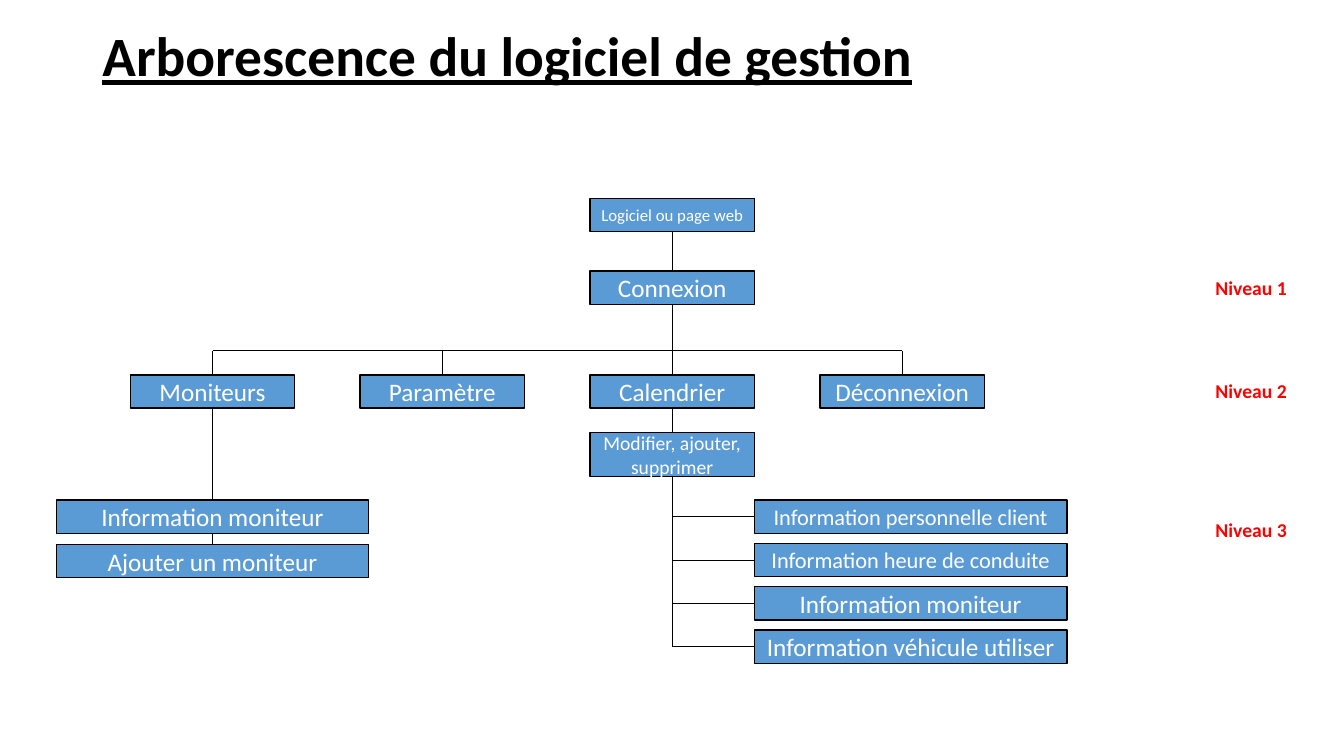
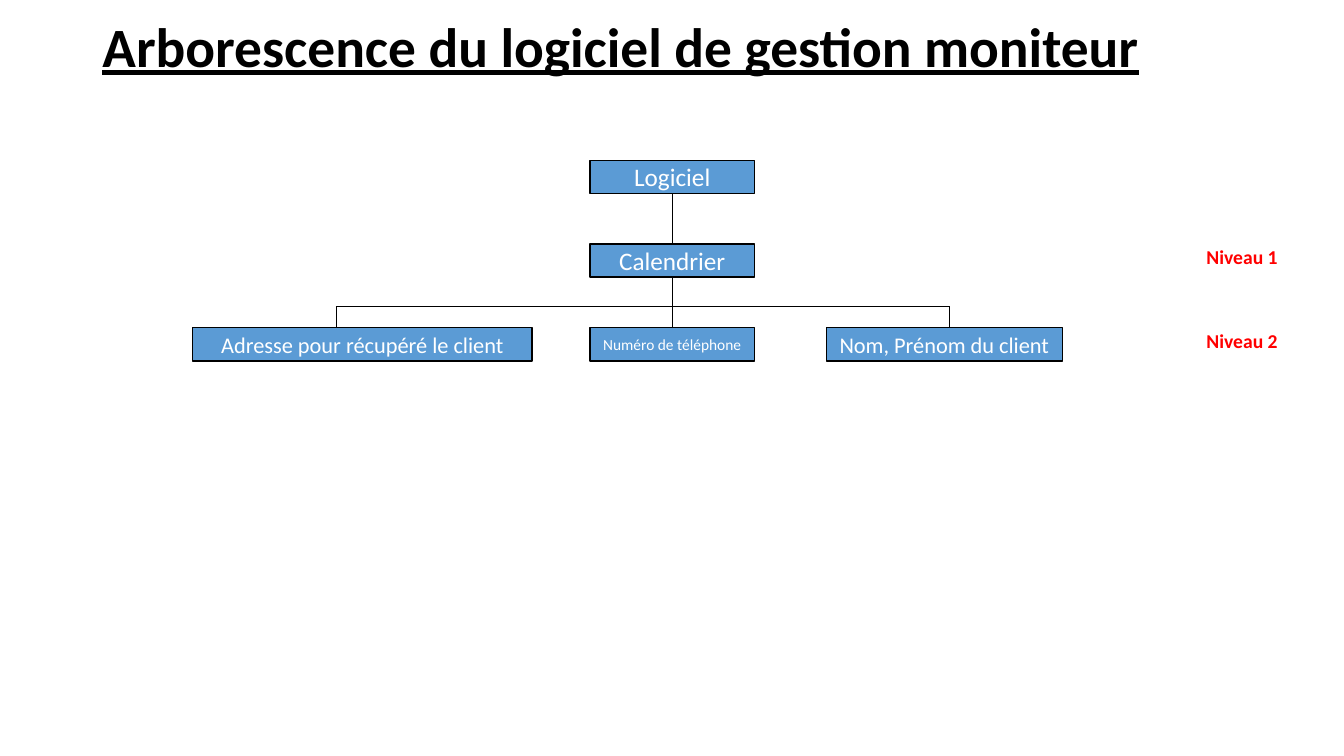
import pptx
import pptx.util
import pptx.dml.color
import pptx.enum.shapes
import pptx.enum.text
import pptx.oxml.ns
import lxml.etree

Pt = pptx.util.Pt
RGB = pptx.dml.color.RGBColor
ENUM = pptx.enum.text

BLUE = RGB(0x5B, 0x9B, 0xD5)
BLACK = RGB(0, 0, 0)
WHITE = RGB(255, 255, 255)
RED = RGB(255, 0, 0)
FONT = "Calibri"

MID = 480.2      # axis of the tree
STEP = 164.2     # between columns
SMALL, WIDE = 117.4, 223.2
HIGH = 23.8      # usual box height

# Text, font size
TITLES = [("Arborescence du logiciel de gestion", 18, 48.2),
          ("Arborescence du logiciel de gestion moniteur", 8.6, 53.3)]
MENU = [("Moniteurs", -2), ("Paramètre", -1), ("Calendrier", 0), ("Déconnexion", 1)]
STAFF = ["Information moniteur", "Ajouter un moniteur"]
INFO = [("Information personnelle client", 16), ("Information heure de conduite", 16),
        ("Information moniteur", 18), ("Information véhicule utiliser", 18)]
# Text, font size, centre, width, x of the link
CLIENT = [("Adresse pour récupéré le client", 16, 258.9, 242.6, 240),
          ("Numéro de téléphone", 11, MID, SMALL, MID),
          ("Nom, Prénom du client", 16, 674.6, 168.5, 678.2)]
# Left, tops
LEVELS = [(861.1, [193.4, 267.1, 366.5]), (854.6, [171.4, 231.1])]


def style(para, size, color, bold=False):
    """Set the font of a paragraph."""
    font = para.font
    font.name, font.size, font.bold = FONT, Pt(size), bold
    font.color.rgb = color


def start(deck, words, top, high):
    """Add a slide with its title."""
    slide = deck.slides.add_slide(deck.slide_layouts[5])
    title = slide.shapes.title
    title.left, title.top, title.width, title.height = Pt(66), Pt(top), Pt(828), Pt(high)
    frame = title.text_frame
    frame.text = words
    frame.vertical_anchor = ENUM.MSO_ANCHOR.MIDDLE
    para = frame.paragraphs[0]
    para.alignment = ENUM.PP_ALIGN.LEFT
    para.line_spacing = 0.9
    style(para, 39.6, BLACK, True)
    para.font.underline = True
    return slide


def box(slide, words, mid, top, size=18, width=SMALL, high=HIGH):
    """Add a box centred on mid and return its bottom."""
    shape = slide.shapes.add_shape(pptx.enum.shapes.MSO_SHAPE.RECTANGLE,
                                   Pt(mid - width / 2), Pt(top), Pt(width), Pt(high))
    shape.shadow.inherit = False
    shape.fill.solid()
    shape.fill.fore_color.rgb = BLUE
    shape.line.color.rgb = BLACK
    shape.line.width = Pt(1)
    frame = shape.text_frame
    frame.text = words
    frame.word_wrap = True
    frame.vertical_anchor = ENUM.MSO_ANCHOR.MIDDLE
    para = frame.paragraphs[0]
    para.alignment = ENUM.PP_ALIGN.CENTER
    style(para, size, WHITE)
    return top + high


def link(slide, x, y, x2, y2):
    """Draw a thin line."""
    line = slide.shapes.add_connector(pptx.enum.shapes.MSO_CONNECTOR.STRAIGHT,
                                      Pt(x), Pt(y), Pt(x2), Pt(y2))
    line.line.color.rgb = BLACK
    line.line.width = Pt(0.5)
    lxml.etree.SubElement(line._element.spPr, pptx.oxml.ns.qn("a:effectLst"))


def fork(slide, xs, stem, bar, top):
    """Link a stem on the axis to boxes below, through a bar."""
    link(slide, MID, stem, MID, bar)
    link(slide, xs[0], bar, xs[-1], bar)
    for x in xs:
        link(slide, x, bar, x, top)


def levels(slide, left, tops):
    """Number the levels on the right."""
    for num, top in enumerate(tops, 1):
        label = slide.shapes.add_textbox(Pt(left), Pt(top), Pt(66.2), Pt(24.2))
        frame = label.text_frame
        frame.word_wrap = False
        frame.auto_size = ENUM.MSO_AUTO_SIZE.SHAPE_TO_FIT_TEXT
        frame.text = f"Niveau {num}"
        style(frame.paragraphs[0], 14, RED, True)


def manage(slide):
    """Draw the tree of the whole program."""
    login, menu, edit, info = 193.7, 267.8, 308.9, 357.1
    end = box(slide, "Logiciel ou page web", MID, 141.8, 12)
    link(slide, MID, end, MID, login)
    end = box(slide, "Connexion", MID, login)
    xs = [MID + STEP * col for _, col in MENU]
    fork(slide, xs, end, 250.6, menu)
    for (words, _), x in zip(MENU, xs):
        end = box(slide, words, x, menu)
    link(slide, MID, end, MID, edit)

    last = end
    for row, words in enumerate(STAFF):
        top = info + 31.7 * row
        link(slide, xs[0], last, xs[0], top)
        last = box(slide, words, xs[0], top, width=WIDE)

    end = box(slide, "Modifier, ajouter, supprimer", MID, edit, 14, high=31.5)
    left = MID + SMALL / 2
    for row, (words, size) in enumerate(INFO):
        top = info + 31 * row
        half = top + HIGH / 2
        link(slide, MID, half, left, half)
        box(slide, words, left + WIDE / 2, top, size, WIDE)
    link(slide, MID, end, MID, half)


def teach(slide):
    """Draw the tree of the instructor program."""
    plan, leaf = 174.2, 234
    end = box(slide, "Logiciel", MID, 114.5)
    link(slide, MID, end, MID, plan)
    end = box(slide, "Calendrier", MID, plan)
    fork(slide, [item[-1] for item in CLIENT], end, 218.9, leaf)
    for words, size, mid, width, _ in CLIENT:
        box(slide, words, mid, leaf, size, width)


deck = pptx.Presentation()
deck.slide_width, deck.slide_height = Pt(960), Pt(540)
for title, marks, draw in zip(TITLES, LEVELS, (manage, teach)):
    slide = start(deck, *title)
    draw(slide)
    levels(slide, *marks)
deck.save("out.pptx")
